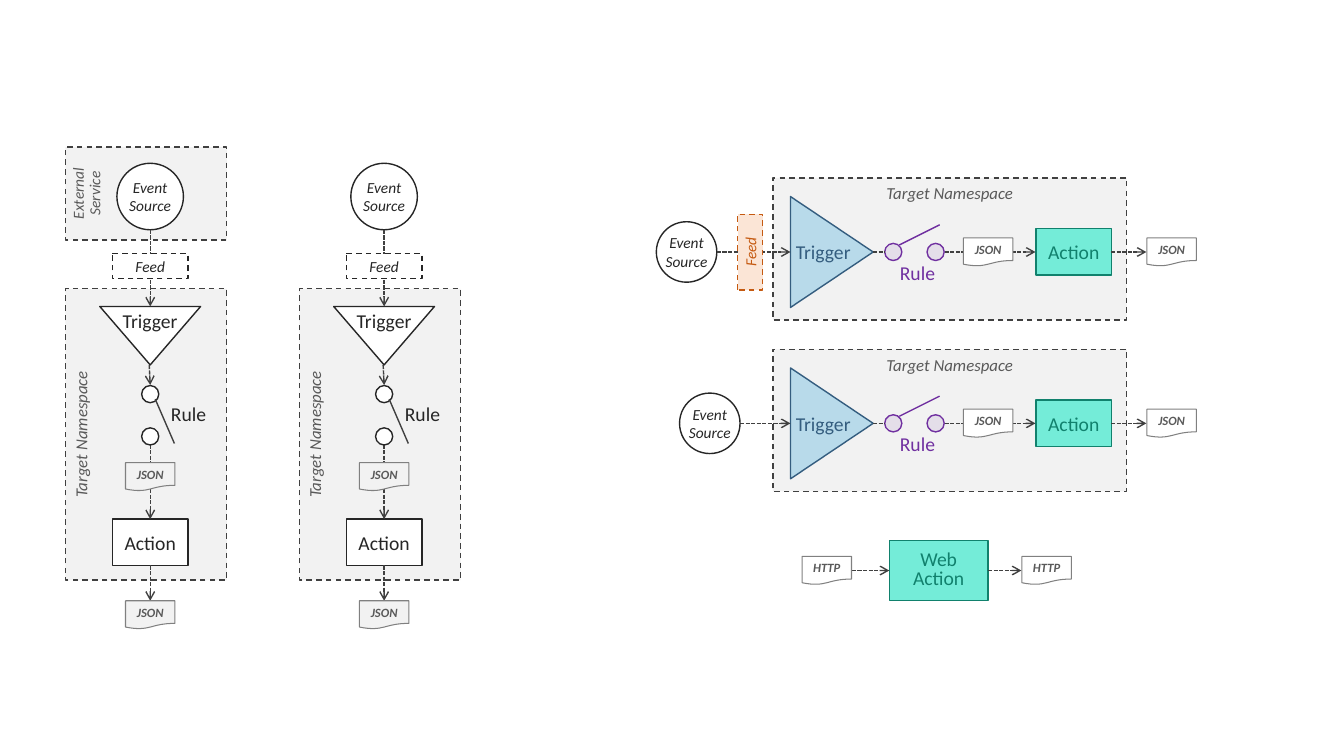
from lxml import etree
from pptx import Presentation
from pptx.dml.color import RGBColor
from pptx.enum.dml import MSO_LINE
from pptx.enum.shapes import MSO_CONNECTOR, MSO_SHAPE
from pptx.enum.text import MSO_ANCHOR, MSO_AUTO_SIZE, PP_ALIGN
from pptx.oxml.ns import qn
from pptx.util import Inches, Pt

RECT, OVAL = MSO_SHAPE.RECTANGLE, MSO_SHAPE.OVAL
PROCESS, MERGE = MSO_SHAPE.FLOWCHART_PROCESS, MSO_SHAPE.FLOWCHART_MERGE
DOC, NODE = MSO_SHAPE.FLOWCHART_DOCUMENT, MSO_SHAPE.FLOWCHART_CONNECTOR
DASH, SHORT_DASH = MSO_LINE.DASH, MSO_LINE.SQUARE_DOT
TOP, MIDDLE = MSO_ANCHOR.TOP, MSO_ANCHOR.MIDDLE

# Content: the axis of each flow; parts in drawing order, measured from it
# Boxes are (kind, centre x, centre y, text), lines (kind, x1, y1, x2, y2)
COLUMN_AXES = [1.49, 3.81]
ROW_AXES = [2.5, 4.2]

NAMESPACE_DOWN = ("namespace down", -0.04, 4.31, "Target Namespace")
EXTERNAL = ("external", -0.04, 1.92, "External Service")
DOWN = [
    ("event", 0, 1.95, "Event\nSource"),
    ("trigger down", 0, 3.33, "Trigger"),
    ("action", 0, 5.38, "Action"),
    ("arrow", 0, 2.28, 0, 3.04),
    ("arrow", 0, 5.61, 0, 5.96),
    ("feed", 0, 2.64, "Feed"),
    ("arrow", 0, 4.41, 0, 5.15),
    ("gray doc", 0, 4.73, "JSON"),
    ("gray doc", 0, 6.1, "JSON"),
    ("contact", 0, 3.91, ""),
    ("contact", 0, 4.33, ""),
    ("switch", 0.05, 3.96, 0.24, 4.4),
    ("rule", 0.38, 4.11, "Rule"),
    ("arrow", -0.01, 3.62, 0, 3.82),
]
ACROSS = [
    ("namespace across", 9.42, -0.03, "Target Namespace"),
    ("teal action", 10.65, 0, "Action"),
    ("arrow", 9.37, 0, 10.27, 0),
    ("doc", 9.8, 0, "JSON"),
    ("doc", 11.62, 0, "JSON"),
    ("arrow", 11.02, 0, 11.37, 0),
    ("trigger across", 8.25, 0, "Trigger"),
    ("purple contact", 9.28, 0, ""),
    ("purple rule", 9.1, 0.21, "Rule"),
    ("purple switch", 8.92, -0.07, 9.32, -0.27),
    ("purple contact", 8.86, 0, ""),
    ("link", 8.66, 0, 8.78, 0),
]
WITH_FEED = [
    ("small event", 6.81, 0, "Event\nSource"),
    ("arrow", 7.11, 0, 7.84, 0),
    ("feed across", 7.44, 0, "Feed"),
]
WITHOUT_FEED = [
    ("arrow", 7.34, 0, 7.84, 0),
    ("small event", 7.04, 0, "Event\nSource"),
]
WEB = [
    ("web action", 9.31, 5.66, "Web\nAction"),
    ("arrow", 8.45, 5.66, 8.82, 5.66),
    ("doc", 8.2, 5.66, "HTTP"),
    ("doc", 10.38, 5.66, "HTTP"),
    ("arrow", 9.8, 5.66, 10.13, 5.66),
]

# Theme
THEME = dict(
    font="Calibri", big=14, title=12, label=11, tiny=9,
    ink="262626", line="404040", muted="595959", edge="808080",
    white="FFFFFF", gray="F2F2F2", purple="7030A0",
    blue="B8DAEA", navy="345D7F", teal="74ECD8", green="11816D",
    peach="FBE5D6", orange="C55A11",
)

# Box styles: geometry and stroke for add_box, "text" for add_text
plain = dict(fill="white", line="ink")
teal = dict(shape=PROCESS, fill="teal", line="green")
area = dict(shape=RECT, fill="gray", line="line", dash=DASH)
event = dict(plain, shape=OVAL, text=dict(size="label", italic=True))
feed = dict(shape=PROCESS, w=0.75, h=0.25, dash=DASH)
doc = dict(shape=DOC, w=0.49, h=0.28, fill="white", line="edge", weight=0.75,
           text=dict(size="tiny", color="muted", bold=True, italic=True))
area_text = dict(size="title", color="muted", italic=True, anchor=TOP, vert="vert270")
rule_text = dict(anchor=TOP, grow=True)
BOXES = {
    "namespace down": dict(area, w=1.6, h=2.89, text=area_text),
    "namespace across": dict(area, w=1.41, h=3.51, rotation=90, text=area_text),
    "external": dict(area, w=1.6, h=0.92,
                     text=dict(area_text, size="label", wrap=True, spacing=0.9)),
    "event": dict(event, w=0.66, h=0.66),
    "small event": dict(event, w=0.6, h=0.6),
    "trigger down": dict(plain, shape=MERGE, w=1, h=0.58, text={}),
    "trigger across": dict(shape=MERGE, w=1.1, h=0.82, rotation=270, fill="blue",
                           line="navy", text=dict(color="navy", vert="vert",
                                                  insets=(0.1, 0.24, 0.1, 0))),
    "action": dict(plain, shape=PROCESS, w=0.75, h=0.46, text={}),
    "teal action": dict(teal, w=0.75, h=0.46, text=dict(color="green")),
    "web action": dict(teal, w=0.98, h=0.59, text=dict(color="green", spacing=0.8)),
    "feed": dict(plain, **feed, text=dict(size="label", italic=True)),
    "feed across": dict(feed, rotation=270, fill="peach", line="orange",
                        text=dict(size="label", color="orange", italic=True)),
    "doc": doc,
    "gray doc": dict(doc, fill="gray"),
    "contact": dict(plain, shape=NODE, w=0.17, h=0.17),
    "purple contact": dict(shape=NODE, w=0.17, h=0.17, fill="purple",
                           line="purple", alpha=10),
    "rule": dict(w=0.61, h=0.34, text=rule_text),
    "purple rule": dict(w=0.56, h=0.34, text=dict(rule_text, color="purple")),
}
LINES = {
    "arrow": dict(dash=SHORT_DASH, arrow=True),
    "link": dict(dash=SHORT_DASH),
    "switch": {},
    "purple switch": dict(color="purple"),
}

prs = Presentation()
prs.slide_width, prs.slide_height = Inches(13.33), Inches(7.5)
slide = prs.slides.add_slide(prs.slide_layouts[6])


def rgb(name):
    return RGBColor.from_string(THEME[name])


def set_line(line, color, weight=1, dash=None):
    line.color.rgb = rgb(color)
    line.width = Pt(weight)
    if dash is not None:
        line.dash_style = dash


def add_text(sp, text, size="big", color="ink", bold=False, italic=False,
             anchor=MIDDLE, vert=None, wrap=False, spacing=None,
             insets=(0.1, 0.05, 0.1, 0.05), grow=False):
    tf = sp.text_frame
    tf.word_wrap = wrap
    tf.vertical_anchor = anchor
    tf.auto_size = MSO_AUTO_SIZE.SHAPE_TO_FIT_TEXT if grow else MSO_AUTO_SIZE.NONE
    (tf.margin_left, tf.margin_top,
     tf.margin_right, tf.margin_bottom) = map(Inches, insets)
    if vert:
        tf._txBody.bodyPr.set("vert", vert)
    for i, words in enumerate(text.split("\n")):
        p = tf.add_paragraph() if i else tf.paragraphs[0]
        p.alignment = PP_ALIGN.CENTER
        if spacing:
            p.line_spacing = spacing
        r = p.add_run()
        r.text = words
        r.font.name, r.font.size = THEME["font"], Pt(THEME[size])
        r.font.bold, r.font.italic = bold, italic
        r.font.color.rgb = rgb(color)


def add_box(cx, cy, label, w, h, shape=None, fill=None, line=None, weight=1,
            dash=None, alpha=None, rotation=0, text=None):
    frame = [Inches(v) for v in (cx - w / 2, cy - h / 2, w, h)]
    if shape is None:
        sp = slide.shapes.add_textbox(*frame)
    else:
        sp = slide.shapes.add_shape(shape, *frame)
        sp.shadow.inherit = False
        sp.rotation = rotation
        sp.fill.solid()
        sp.fill.fore_color.rgb = rgb(fill)
        set_line(sp.line, line, weight, dash)
    if alpha:
        color = sp._element.spPr.find(qn("a:solidFill"))[0]
        etree.SubElement(color, qn("a:alpha"), val=str(alpha * 1000))
    if label:
        add_text(sp, label, **text)


def add_line(x1, y1, x2, y2, color="line", dash=None, arrow=False):
    ends = [Inches(v) for v in (x1, y1, x2, y2)]
    c = slide.shapes.add_connector(MSO_CONNECTOR.STRAIGHT, *ends)
    set_line(c.line, color, dash=dash)
    if arrow:
        etree.SubElement(c.line._get_or_add_ln(), qn("a:tailEnd"), type="arrow")
    etree.SubElement(c._element.spPr, qn("a:effectLst"))


def draw(parts, dx=0, dy=0):
    for kind, x, y, *rest in parts:
        if kind in LINES:
            x2, y2 = rest
            add_line(x + dx, y + dy, x2 + dx, y2 + dy, **LINES[kind])
        else:
            add_box(x + dx, y + dy, rest[0], **BOXES[kind])


# Vertical flows; only the first has an external service
for axis, extra in zip(COLUMN_AXES, ([EXTERNAL], [])):
    draw([NAMESPACE_DOWN] + extra + DOWN, dx=axis)

# Horizontal flows, with and without a feed
for axis, source in zip(ROW_AXES, (WITH_FEED, WITHOUT_FEED)):
    draw(ACROSS + source, dy=axis)

# Web action
draw(WEB)

prs.save("out.pptx")
